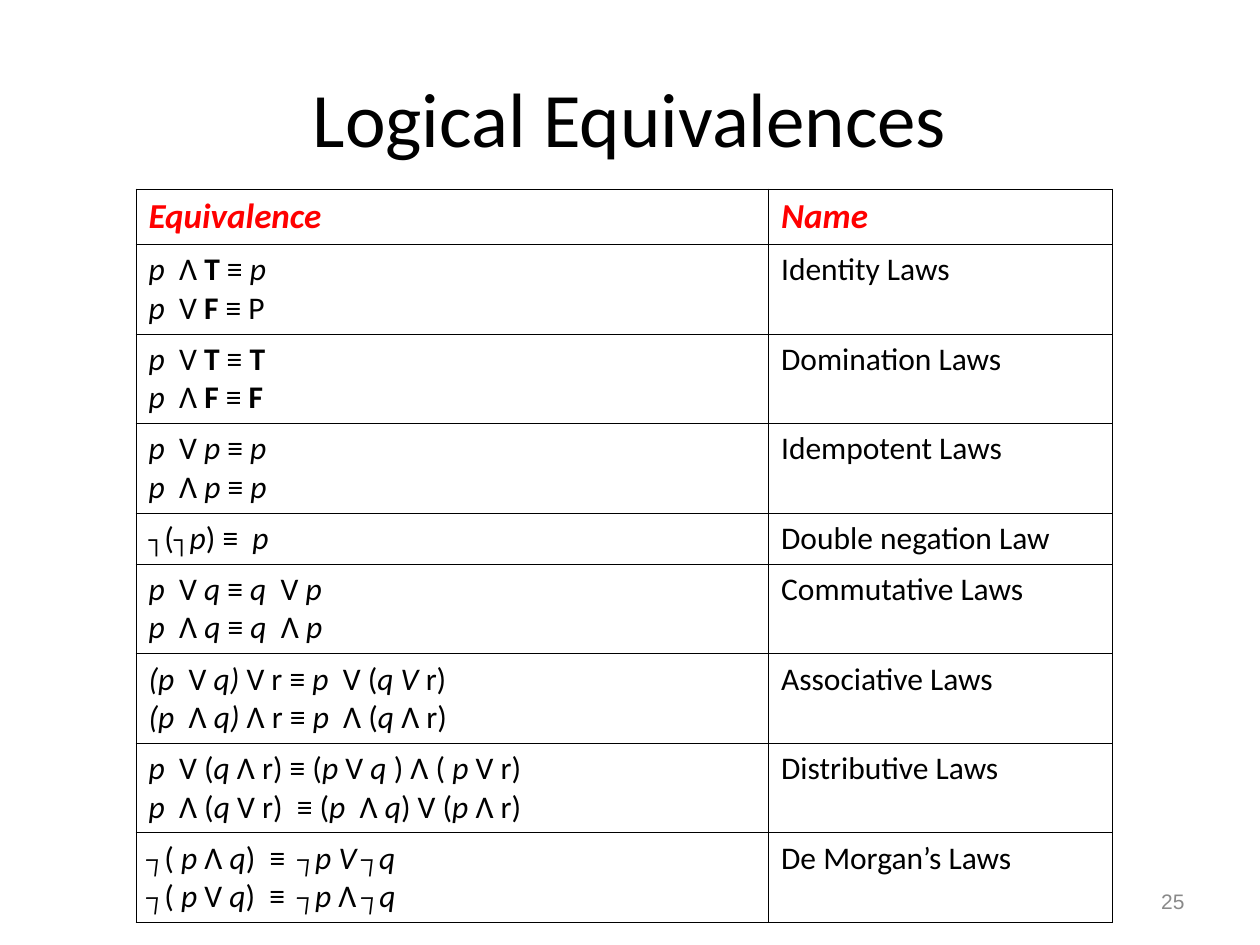
from lxml import etree
from pptx import Presentation
from pptx.dml.color import RGBColor
from pptx.enum.text import MSO_ANCHOR, PP_ALIGN
from pptx.oxml.ns import qn
from pptx.util import Inches, Pt

MIDDLE = MSO_ANCHOR.MIDDLE
CENTER = PP_ALIGN.CENTER
RIGHT = PP_ALIGN.RIGHT

BLACK = RGBColor(0x00, 0x00, 0x00)
RED = RGBColor(0xFF, 0x00, 0x00)
GRAY = RGBColor(0x89, 0x89, 0x89)

HEADERS = ["Equivalence", "Name"]
LAWS = [
    ("Identity Laws", ["|p  |Λ |T| ≡ |p|", "|p | V |F |≡ P"]),
    ("Domination Laws", ["|p | V |T| ≡ |T|", "|p | Ʌ |F |≡ |F|"]),
    ("Idempotent Laws", ["|p | V |p| ≡ |p|", "|p | Ʌ |p |≡ |p|"]),
    ("Double negation Law", ["┐(┐|p|) ≡ | p|"]),
    ("Commutative Laws", ["|p | V |q| ≡ |q | V |p|",
                          "|p | Ʌ |q |≡ |q | Ʌ |p|"]),
    ("Associative Laws", ["|(p | V |q) |V r ≡ |p | V (|q V |r)",
                          "|(p | Ʌ |q) |Ʌ r ≡ |p | Ʌ (|q |Ʌ r)"]),
    ("Distributive Laws", ["|p | V (|q |Ʌ r) ≡ (|p |V| q |) Ʌ ( |p |V r)",
                           "|p | Ʌ (|q |V r)  ≡ (|p | Ʌ |q|) V (|p |Ʌ r)"]),
    ("De Morgan’s Laws", ["|┐|( |p |Ʌ| q|)  ≡  |┐p V ┐q|",
                          "|┐|( |p |V| q|)  ≡  |┐p |Ʌ| ┐q|"]),
]
TRUTH_VALUES = ("T", "F")


def style_run(run, size, color, bold=False, italic=False, font="Calibri"):
    run.font.name = font
    run.font.size = Pt(size)
    run.font.color.rgb = color
    run.font.bold = bold
    run.font.italic = italic


def outline_cell(cell):
    properties = cell._tc.get_or_add_tcPr()
    for position, side in enumerate(("a:lnL", "a:lnR", "a:lnT", "a:lnB")):
        border = etree.Element(qn(side), w=str(Pt(0.45)))
        fill = etree.SubElement(border, qn("a:solidFill"))
        etree.SubElement(fill, qn("a:srgbClr"), val=str(BLACK))
        properties.insert(position, border)


prs = Presentation()
prs.slide_width = Inches(10)
prs.slide_height = Inches(7.5)
slide = prs.slides.add_slide(prs.slide_layouts[5])

title = slide.shapes.title
title.left, title.top = Inches(0.5), Inches(0.3)
title.width, title.height = Inches(9), Inches(1.25)
title.text_frame.text = "Logical Equivalences"
title.text_frame.vertical_anchor = MIDDLE
title.text_frame.paragraphs[0].alignment = CENTER
style_run(title.text_frame.paragraphs[0].runs[0], 44, BLACK)

laws_table = slide.shapes.add_table(
    len(LAWS) + 1, len(HEADERS),
    Inches(1.08), Inches(1.5), Inches(7.75), Inches(5.74)).table
laws_table.columns[0].width = Inches(5.02)
laws_table.columns[1].width = Inches(2.73)
laws_table.rows[0].height = Inches(0.44)

for cell in laws_table.iter_cells():
    cell.fill.background()
    outline_cell(cell)

for column, header in enumerate(HEADERS):
    header_frame = laws_table.cell(0, column).text_frame
    header_frame.text = header
    style_run(header_frame.paragraphs[0].runs[0], 20, RED, bold=True, italic=True)

for row, (law, formulas) in enumerate(LAWS, start=1):
    laws_table.rows[row].height = Inches(0.4 if len(formulas) == 1 else 0.7)
    name_frame = laws_table.cell(row, 1).text_frame
    name_frame.text = law
    style_run(name_frame.paragraphs[0].runs[0], 18, BLACK)

    formula_frame = laws_table.cell(row, 0).text_frame
    for line, formula in enumerate(formulas):
        paragraph = formula_frame.add_paragraph() if line else formula_frame.paragraphs[0]
        for index, part in enumerate(formula.split("|")):
            if part:
                emphasized = index % 2 == 1
                bold = emphasized and part.strip() in TRUTH_VALUES
                run = paragraph.add_run()
                run.text = part
                style_run(run, 18, BLACK, bold=bold, italic=emphasized and not bold)

page_number = slide.shapes.add_textbox(
    Inches(7.17), Inches(6.95), Inches(2.33), Inches(0.4)).text_frame
page_number.word_wrap = True
page_number.vertical_anchor = MIDDLE
page_number.text = "25"
page_number.paragraphs[0].alignment = RIGHT
style_run(page_number.paragraphs[0].runs[0], 12, GRAY, font="Arial")

prs.save("out.pptx")
